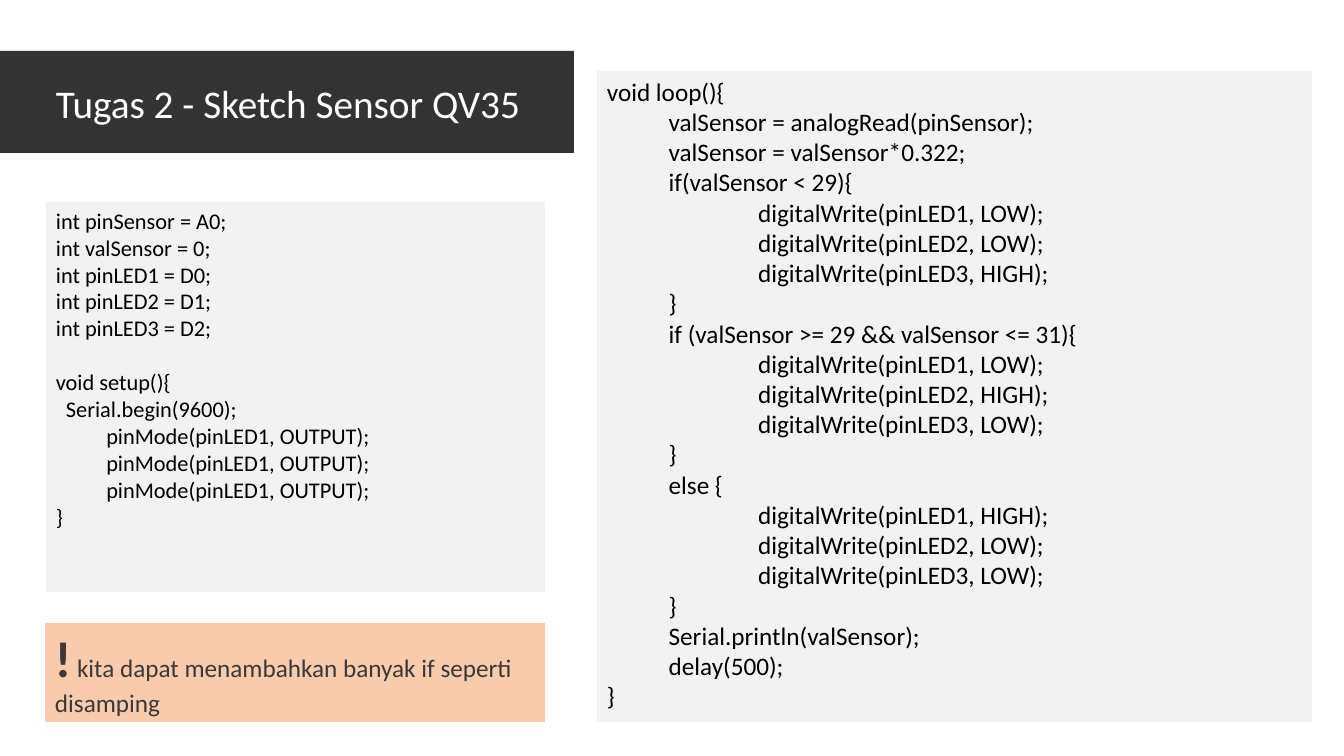
"""Build the slide showing the QV35 sensor sketch."""
from pptx import Presentation
from pptx.dml.color import RGBColor
from pptx.enum.shapes import MSO_SHAPE
from pptx.enum.text import MSO_ANCHOR, PP_ALIGN
from pptx.util import Emu, Inches, Pt

PX = 914400 / 100.8
BLACK = RGBColor(0x00, 0x00, 0x00)
WHITE = RGBColor(0xFF, 0xFF, 0xFF)
CHARCOAL = RGBColor(0x33, 0x33, 0x33)
PALE_GREY = RGBColor(0xF2, 0xF2, 0xF2)
PEACH = RGBColor(0xF8, 0xCB, 0xAD)
DARK_GREY = RGBColor(0x3B, 0x38, 0x38)

SETUP_CODE = """int pinSensor = A0;
int valSensor = 0;
int pinLED1 = D0;
int pinLED2 = D1;
int pinLED3 = D2;

void setup(){
  Serial.begin(9600);
>pinMode(pinLED1, OUTPUT);
>pinMode(pinLED1, OUTPUT);
>pinMode(pinLED1, OUTPUT);
}"""

LOOP_CODE = """void loop(){
>  valSensor = analogRead(pinSensor);
>  valSensor = valSensor*0.322;
>  if(valSensor < 29){
>\tdigitalWrite(pinLED1, LOW);
>\tdigitalWrite(pinLED2, LOW);
>\tdigitalWrite(pinLED3, HIGH);
>  }
>  if (valSensor >= 29 && valSensor <= 31){
>\tdigitalWrite(pinLED1, LOW);
>\tdigitalWrite(pinLED2, HIGH);
>\tdigitalWrite(pinLED3, LOW);
>  }
>  else {
>\tdigitalWrite(pinLED1, HIGH);
>\tdigitalWrite(pinLED2, LOW);
>\tdigitalWrite(pinLED3, LOW);
>  }
>  Serial.println(valSensor);
>  delay(500);
}"""


def add_panel(left, top, width, height, color):
    """Add a plain filled rectangle measured in px."""
    panel = page.shapes.add_shape(
        MSO_SHAPE.RECTANGLE, *(Emu(round(n * PX)) for n in (left, top, width, height)))
    panel.shadow.inherit = False
    panel.fill.solid()
    panel.fill.fore_color.rgb = color
    panel.line.fill.background()
    panel.text_frame.word_wrap = True
    return panel


def add_span(para, text, size, color, bold=False):
    """Add one formatted run to a paragraph."""
    span = para.add_run()
    span.text = text
    span.font.name = "Calibri"
    span.font.size = Pt(size)
    span.font.bold = bold
    span.font.color.rgb = color


deck = Presentation()
deck.slide_width = Emu(round(1344 * PX))
deck.slide_height = Emu(round(756 * PX))
page = deck.slides.add_slide(deck.slide_layouts[6])

setup_panel = add_panel(46, 202, 499, 390, PALE_GREY)
add_panel(0, 51, 574, 102, CHARCOAL)

title_box = page.shapes.add_textbox(*(Emu(round(n * PX)) for n in (46, 74, 487, 57)))
title_box.text_frame.word_wrap = False
add_span(title_box.text_frame.paragraphs[0], "Tugas 2 - Sketch Sensor QV35", 28, WHITE)

loop_panel = add_panel(597, 71, 715, 651, PALE_GREY)

for panel, code, size in ((setup_panel, SETUP_CODE, 16), (loop_panel, LOOP_CODE, 18)):
    frame = panel.text_frame
    frame.vertical_anchor = MSO_ANCHOR.TOP
    para = frame.paragraphs[0]
    for block_number, block in enumerate(code.split("\n\n")):
        for line_number, line in enumerate(block.split("\n")):
            if block_number or line_number:
                para = frame.add_paragraph()
            para.alignment = PP_ALIGN.LEFT
            if block_number and line_number == 0:
                para.space_before = Pt(19.5)
            if line.startswith(">"):
                para.level = 1
                properties = para._p.get_or_add_pPr()
                properties.set("marL", str(Inches(0.5)))
                properties.set("indent", "0")
                properties.set("defTabSz", str(Inches(1)))
            add_span(para, line.removeprefix(">"), size, BLACK)

note = add_panel(45, 623, 500, 99, PEACH)
note.text_frame.vertical_anchor = MSO_ANCHOR.MIDDLE
para = note.text_frame.paragraphs[0]
para.alignment = PP_ALIGN.LEFT
add_span(para, "!", 36, DARK_GREY, bold=True)
add_span(para, " kita dapat menambahkan banyak if seperti disamping", 18, DARK_GREY)

deck.save("out.pptx")
